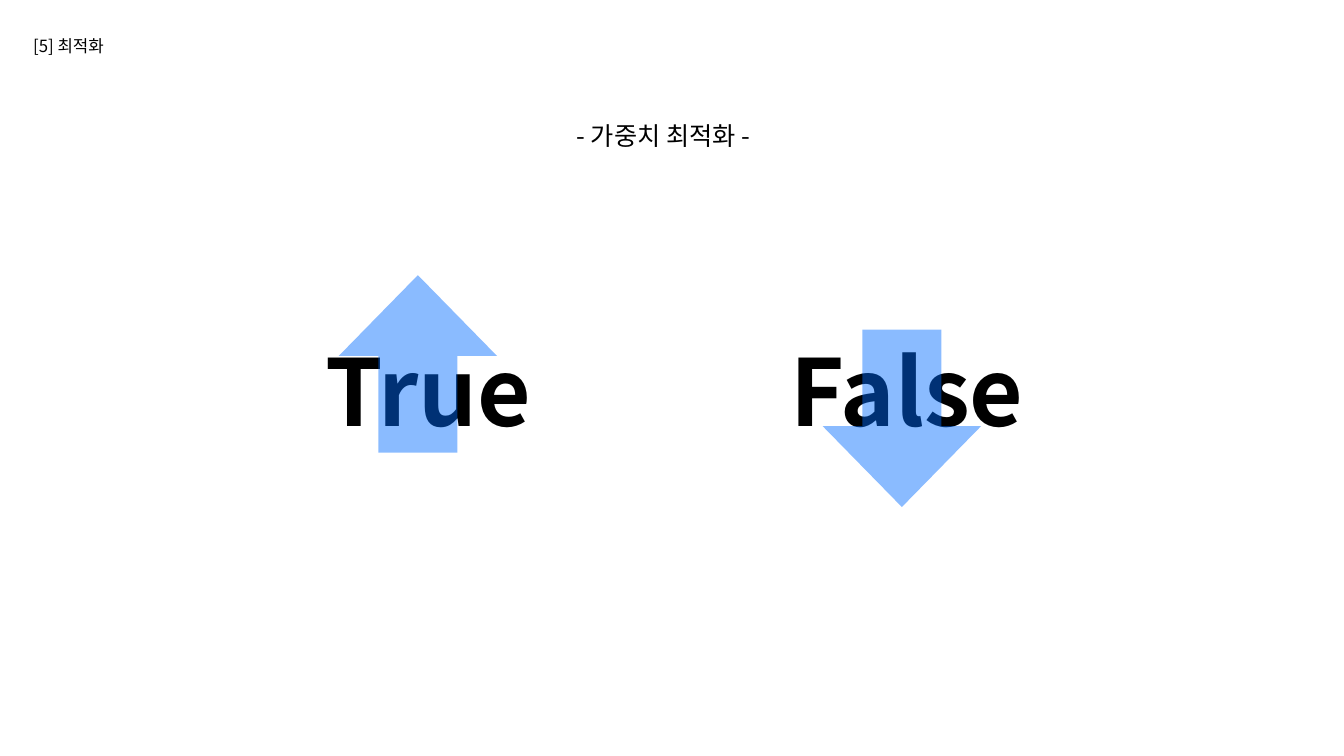
import pptx
import pptx.dml.color
import pptx.enum.shapes
import pptx.enum.text
import pptx.oxml
import pptx.oxml.ns
import pptx.util

BLACK = pptx.dml.color.RGBColor(0x00, 0x00, 0x00)
BLUE = pptx.dml.color.RGBColor(0x00, 0x6C, 0xFF)
FONT = "Noto Sans CJK KR"
WIDTH, HEIGHT = 13.33, 7.5

SECTION = "[5] 최적화"
TOPIC = "- 가중치 최적화 -"
WORD_TOP, WORD_HEIGHT = 3.27, 1.21
ARROW_WIDTH, ARROW_HEIGHT = 1.57, 1.76
# word, left, width, arrow left, arrow top, arrow rotation
OUTCOMES = [
    ("True", 3.13, 2.46, 3.36, 2.73, 0),
    ("False", 7.74, 3.43, 8.16, WORD_TOP, 180),
]


def add_text(slide, text, left, top, width, height, size, bold=False):
    box = slide.shapes.add_textbox(*map(pptx.util.Inches, (left, top, width, height)))
    frame = box.text_frame
    frame.word_wrap = True
    frame.auto_size = pptx.enum.text.MSO_AUTO_SIZE.SHAPE_TO_FIT_TEXT
    run = frame.paragraphs[0].add_run()
    run.text = text
    run.font.name = FONT
    run.font.size = pptx.util.Pt(size)
    run.font.bold = bold
    run.font.color.rgb = BLACK
    east_asian = pptx.oxml.parse_xml(
        f'<a:ea {pptx.oxml.ns.nsdecls("a")} typeface="{FONT}"/>')
    run.font._element.append(east_asian)


def add_arrow(slide, left, top, rotation, opacity=46):
    """Add a see-through block arrow; opacity is in percent."""
    arrow = slide.shapes.add_shape(
        pptx.enum.shapes.MSO_SHAPE.UP_ARROW,
        *map(pptx.util.Inches, (left, top, ARROW_WIDTH, ARROW_HEIGHT)))
    arrow.adjustments[0] = 0.5
    arrow.adjustments[1] = 0.511
    arrow.rotation = rotation
    arrow.shadow.inherit = False
    arrow.line.fill.background()
    arrow.fill.solid()
    arrow.fill.fore_color.rgb = BLUE
    colour = arrow._element.spPr.find(".//" + pptx.oxml.ns.qn("a:srgbClr"))
    colour.append(pptx.oxml.parse_xml(
        f'<a:alpha {pptx.oxml.ns.nsdecls("a")} val="{opacity * 1000}"/>'))


def main():
    deck = pptx.Presentation()
    deck.slide_width = pptx.util.Inches(WIDTH)
    deck.slide_height = pptx.util.Inches(HEIGHT)
    slide = deck.slides.add_slide(deck.slide_layouts[6])

    add_text(slide, SECTION, 0.23, 0.31, 2.31, 0.3, size=12)
    for word, left, width, *_ in OUTCOMES:
        add_text(slide, word, left, WORD_TOP, width, WORD_HEIGHT, size=66, bold=True)
    for *_, arrow_left, arrow_top, rotation in OUTCOMES:
        add_arrow(slide, arrow_left, arrow_top, rotation)
    add_text(slide, TOPIC, 5.62, 1.14, 2.08, 0.4, size=18)

    deck.save("out.pptx")


if __name__ == "__main__":
    main()
